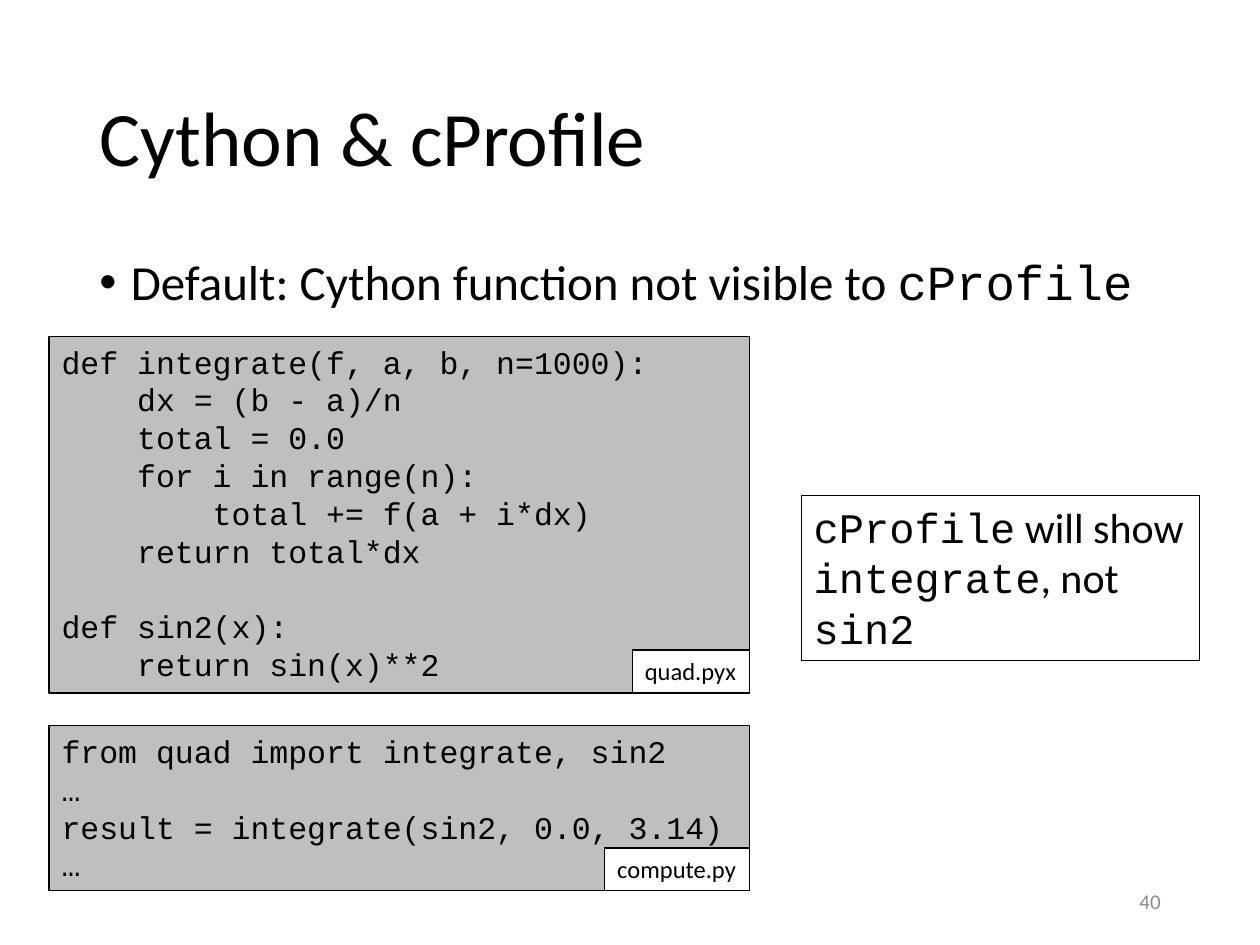
from dataclasses import dataclass

from lxml import etree
from pptx import Presentation
from pptx import util as u
from pptx.dml.color import RGBColor
from pptx.enum import shapes, text
from pptx.oxml import ns

COLORS = {"ink": "000000", "paper": "FFFFFF", "code": "BFBFBF", "number": "8C8C8C"}
SANS, MONO = "Calibri", "Courier New"
CODE_LEFT, CODE_WIDTH, LABEL_HEIGHT = 0.39, 5.56, 0.34


@dataclass
class Listing:
    top: float
    height: float
    code: str
    file_name: str
    label_width: float


LISTINGS = [
    Listing(2.67, 2.83, """def integrate(f, a, b, n=1000):
    dx = (b - a)/n
    total = 0.0
    for i in range(n):
        total += f(a + i*dx)
    return total*dx

def sin2(x):
    return sin(x)**2""", "quad.pyx", 0.93),
    Listing(5.76, 1.31, """from quad import integrate, sin2
…
result = integrate(sin2, 0.0, 3.14)
…""", "compute.py", 1.15),
]


def color(name: str) -> RGBColor:
    return RGBColor.from_string(COLORS[name])


def style(paragraph, size: float, font: str | None = None, ink: str = "ink") -> None:
    paragraph.font.size = u.Pt(size)
    paragraph.font.color.rgb = color(ink)
    if font:
        paragraph.font.name = font


def add_runs(paragraph, *pieces: tuple[str, str]) -> None:
    """Add (text, font) runs; a newline in a text becomes a line break."""
    for words, font in pieces:
        for index, line in enumerate(words.split("\n")):
            if index:
                paragraph.add_line_break()
            if line:
                run = paragraph.add_run()
                run.text = line
                run.font.name = font


def add_text(slide, left: float, top: float, width: float, height: float,
             anchor=text.MSO_ANCHOR.TOP):
    """Add an empty text box and return its first paragraph."""
    box = slide.shapes.add_textbox(*map(u.Inches, (left, top, width, height)))
    box.text_frame.word_wrap = True
    box.text_frame.vertical_anchor = anchor
    return box.text_frame.paragraphs[0]


def add_box(parent, left: float, top: float, width: float, height: float,
            fill: str | None = None, wrap: bool = False):
    """Add an outlined rectangle and return its text frame."""
    shape = parent.shapes.add_shape(shapes.MSO_SHAPE.RECTANGLE,
                                    *map(u.Inches, (left, top, width, height)))
    shape.shadow.inherit = False
    if fill:
        shape.fill.solid()
        shape.fill.fore_color.rgb = color(fill)
    else:
        shape.fill.background()
    shape.line.color.rgb = color("ink")
    shape.line.width = u.Pt(0.75)
    frame = shape.text_frame
    frame.word_wrap = wrap
    frame.auto_size = text.MSO_AUTO_SIZE.SHAPE_TO_FIT_TEXT
    frame.vertical_anchor = text.MSO_ANCHOR.TOP
    frame.paragraphs[0].alignment = text.PP_ALIGN.LEFT
    return frame


def add_listing(slide, listing: Listing) -> None:
    """Add a code box with its file name in the lower right corner."""
    group = slide.shapes.add_group_shape()
    frame = add_box(group, CODE_LEFT, listing.top, CODE_WIDTH, listing.height, "code", True)
    frame.text = listing.code
    for paragraph in frame.paragraphs:
        paragraph.alignment = text.PP_ALIGN.LEFT
        style(paragraph, 18, MONO)
    label = add_box(group, CODE_LEFT + CODE_WIDTH - listing.label_width,
                    listing.top + listing.height - LABEL_HEIGHT,
                    listing.label_width, LABEL_HEIGHT, "paper")
    label.paragraphs[0].text = listing.file_name
    style(label.paragraphs[0], 14, SANS)


def add_bullet(paragraph) -> None:
    properties = paragraph._p.get_or_add_pPr()
    properties.set("marL", str(u.Inches(0.25)))
    properties.set("indent", str(u.Inches(-0.25)))
    etree.SubElement(properties, ns.qn("a:buFont"), typeface="Arial")
    etree.SubElement(properties, ns.qn("a:buChar"), char="•")


def main() -> None:
    presentation = Presentation()
    presentation.slide_width = u.Inches(10)
    presentation.slide_height = u.Inches(7.5)
    slide = presentation.slides.add_slide(presentation.slide_layouts[6])

    title = add_text(slide, 0.69, 0.4, 8.62, 1.45, text.MSO_ANCHOR.MIDDLE)
    title.text = "Cython & cProfile"
    title.line_spacing = 0.9
    style(title, 44, SANS)

    body = add_text(slide, 0.69, 2, 8.62, 4.76)
    body.line_spacing = 0.9
    add_bullet(body)
    style(body, 28)
    add_runs(body, ("Default: Cython function not visible to ", SANS), ("cProfile", MONO))

    for listing in LISTINGS:
        add_listing(slide, listing)

    remark = add_box(slide, 6.36, 3.93, 3.16, 1.31).paragraphs[0]
    style(remark, 24)
    add_runs(remark, ("cProfile", MONO), (" will show\n", SANS), ("integrate", MONO),
             (", not\n", SANS), ("sin2", MONO))

    number = add_text(slide, 7.06, 6.95, 2.25, 0.4, text.MSO_ANCHOR.MIDDLE)
    number.text = "40"
    number.alignment = text.PP_ALIGN.RIGHT
    style(number, 12, SANS, "number")

    presentation.save("out.pptx")


if __name__ == "__main__":
    main()
